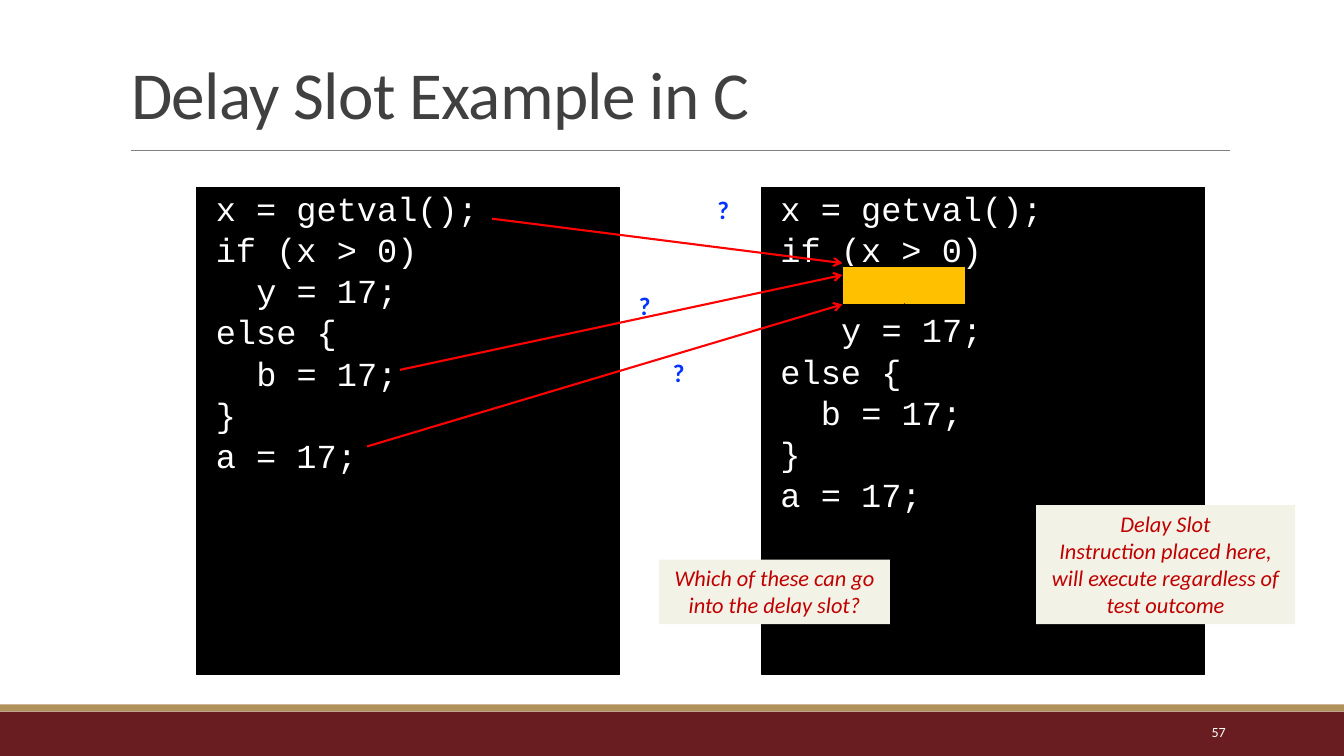
from lxml.etree import SubElement
from pptx import Presentation
from pptx.dml.color import RGBColor
from pptx.enum.shapes import MSO_CONNECTOR, MSO_SHAPE
from pptx.enum.text import MSO_ANCHOR, PP_ALIGN
from pptx.oxml.ns import qn
from pptx.util import Cm, Pt

COLORS = {
    "maroon": "691D20", "gold": "B1915A", "rule": "808080", "title": "404040",
    "black": "000000", "white": "FFFFFF", "slot": "FFC000", "arrow": "FF0000",
    "question": "0432FF", "note": "F3F2E6", "note_text": "C00000",
}
SLIDE_SIZE = (33.87, 19.05)
TITLE = "Delay Slot Example in C"
TITLE_BOX = (3.05, 0.79, 27.94, 2.69)
PAGE_NUMBER = "57"
PAGE_NUMBER_BOX = (27.51, 17.93, 3.63, 1.02)
BANDS = [("maroon", (0, 17.93, 33.87, 1.12)), ("gold", (0, 17.75, 33.87, 0.18))]
TITLE_RULE = (3.3, 3.78, 30.99, 3.78)

# Each code line: columns of indent, empty lines above, text
BEFORE_CODE = [
    (0, 0, "x = getval();"), (0, 0, "if (x > 0)"), (2, 0, "y = 17;"),
    (0, 0, "else {"), (2, 0, "b = 17;"), (0, 0, "}"), (0, 0, "a = 17;"),
]
AFTER_CODE = [(3, 1, text) if text == "y = 17;" else (columns, gap, text)
              for columns, gap, text in BEFORE_CODE]
PANELS = [((4.95, 4.72, 10.67, 12.27), BEFORE_CODE),
          ((19.18, 4.72, 11.18, 12.27), AFTER_CODE)]
CODE_MARGIN, COLUMN_WIDTH = 0.49, 0.51
CODE_LINE_PITCH, SPACE_ABOVE, SPACE_BELOW = 28, 1.5, 2

SLOT_BOX = (21.23, 6.71, 3.1, 0.97)
CANDIDATE_ARROWS = [(12.4, 5.51, 6.63), (10.08, 9.32, 6.93), (9.25, 11.25, 7.67)]
QUESTION_MARKS = [(17.83, 4.78), (15.85, 7.19), (16.71, 8.89)]
QUESTION_SIZE = (0.81, 1.02)
NOTES = [
    ((16.61, 14.1, 5.82, 1.63), ["Which of these can go into the delay slot?"]),
    ((26.11, 12.73, 6.53, 3.0),
     ["Delay Slot", "Instruction placed here, will execute regardless of test outcome"]),
]
NOTE_CURVE = (23.55, 13.48, 28.63, 6.88)


def color(name):
    return RGBColor.from_string(COLORS[name])


def write(paragraph, text, size, fill, font="Calibri", bold=False, italic=False,
          align=PP_ALIGN.LEFT, line_spacing=None, tracking=None):
    paragraph.alignment = align
    if line_spacing:
        paragraph.line_spacing = line_spacing
    run = paragraph.add_run()
    run.text = text
    run.font.name = font
    run.font.size = Pt(size)
    run.font.bold = bold
    run.font.italic = italic
    run.font.color.rgb = color(fill)
    if tracking is not None:
        run.font._element.set("spc", str(tracking))


def paragraphs_for(frame, items):
    """Pair each item with its own paragraph of the frame."""
    for index, item in enumerate(items):
        yield frame.paragraphs[0] if index == 0 else frame.add_paragraph(), item


def add_box(slide, box, fill, line=None):
    shape = slide.shapes.add_shape(MSO_SHAPE.RECTANGLE, *map(Cm, box))
    shape.shadow.inherit = False
    shape.fill.solid()
    shape.fill.fore_color.rgb = color(fill)
    if line:
        shape.line.color.rgb = color(line)
        shape.line.width = Pt(0.75)
    else:
        shape.line.fill.background()
    shape.text_frame.vertical_anchor = MSO_ANCHOR.TOP
    return shape


def add_line(slide, ends, line, width, kind=MSO_CONNECTOR.STRAIGHT, arrow=False):
    connector = slide.shapes.add_connector(kind, *map(Cm, ends))
    connector.line.color.rgb = color(line)
    connector.line.width = Pt(width)
    if arrow:
        SubElement(connector.line._get_or_add_ln(), qn("a:tailEnd"), type="arrow")
    SubElement(connector._element.spPr, qn("a:effectLst"))
    return connector


def add_text_box(slide, box, text, anchor=MSO_ANCHOR.TOP, wrap=True, **text_format):
    frame = slide.shapes.add_textbox(*map(Cm, box)).text_frame
    frame.word_wrap = wrap
    frame.vertical_anchor = anchor
    write(frame.paragraphs[0], text, **text_format)


def add_code_panel(slide, box, code):
    frame = add_box(slide, box, "black", line="black").text_frame
    frame.margin_left = frame.margin_right = 0
    for paragraph, (columns, gap, text) in paragraphs_for(frame, code):
        write(paragraph, text, 24, "white", font="Courier New", line_spacing=0.9)
        paragraph.space_before = Pt(SPACE_ABOVE + gap * CODE_LINE_PITCH)
        paragraph.space_after = Pt(SPACE_BELOW)
        properties = paragraph._p.get_or_add_pPr()
        properties.set("marL", str(Cm(CODE_MARGIN + columns * COLUMN_WIDTH)))
        properties.set("indent", "0")


def add_title(slide):
    title = slide.shapes.title
    title.left, title.top, title.width, title.height = map(Cm, TITLE_BOX)
    title.text_frame.vertical_anchor = MSO_ANCHOR.BOTTOM
    write(title.text_frame.paragraphs[0], TITLE, 48, "title",
          line_spacing=0.85, tracking=-50)


def main():
    presentation = Presentation()
    presentation.slide_width, presentation.slide_height = map(Cm, SLIDE_SIZE)
    slide = presentation.slides.add_slide(presentation.slide_layouts[5])

    for fill, box in BANDS:
        add_box(slide, box, fill)
    add_line(slide, TITLE_RULE, "rule", 0.5)
    add_title(slide)
    for box, code in PANELS:
        add_code_panel(slide, box, code)
    add_text_box(slide, PAGE_NUMBER_BOX, PAGE_NUMBER, anchor=MSO_ANCHOR.MIDDLE,
                 size=10, fill="white", align=PP_ALIGN.RIGHT)

    add_box(slide, SLOT_BOX, "slot", line="black")
    for left, start, end in CANDIDATE_ARROWS:
        add_line(slide, (left, start, SLOT_BOX[0], end), "arrow", 1.5, arrow=True)
    for corner in QUESTION_MARKS:
        add_text_box(slide, corner + QUESTION_SIZE, "?", wrap=False,
                     size=18, fill="question", bold=True)
    for box, texts in NOTES:
        frame = add_box(slide, box, "note").text_frame
        frame.word_wrap = True
        for paragraph, text in paragraphs_for(frame, texts):
            write(paragraph, text, 16, "note_text", italic=True, align=PP_ALIGN.CENTER)
    curve = add_line(slide, NOTE_CURVE, "black", 1.5, kind=MSO_CONNECTOR.CURVE, arrow=True)
    curve._element.spPr.find(qn("a:xfrm")).set("rot", str(270 * 60000))

    presentation.save("out.pptx")


if __name__ == "__main__":
    main()
